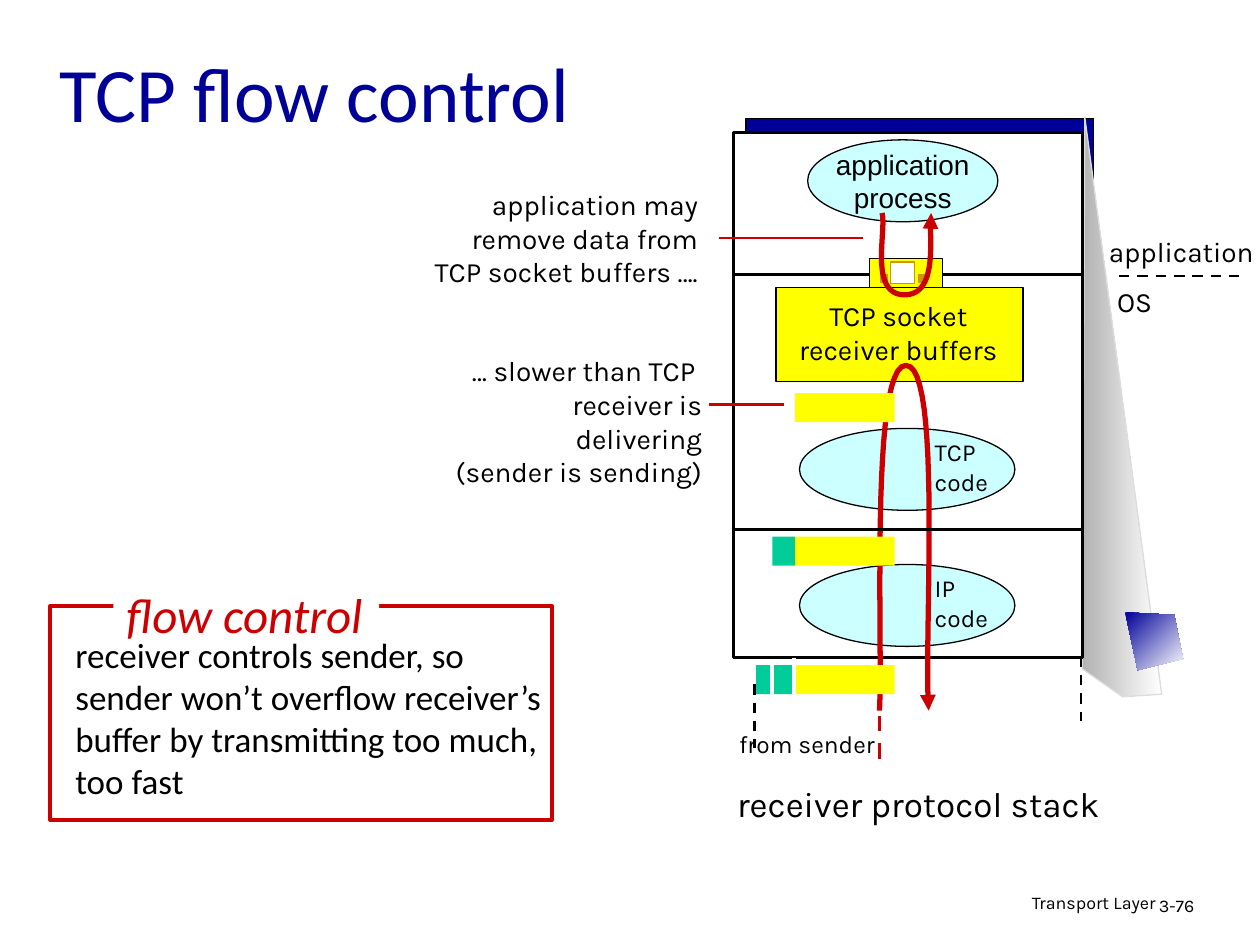
from dataclasses import dataclass

from lxml import etree
from pptx import Presentation
from pptx.dml.color import RGBColor
from pptx.enum.dml import MSO_LINE
from pptx.enum.shapes import MSO_CONNECTOR, MSO_SHAPE
from pptx.enum.text import MSO_ANCHOR, PP_ALIGN
from pptx.oxml.ns import qn
from pptx.util import Inches, Pt

RECTANGLE, OVAL = MSO_SHAPE.RECTANGLE, MSO_SHAPE.OVAL
STRAIGHT, DASH = MSO_CONNECTOR.STRAIGHT, MSO_LINE.DASH
LEFT, CENTER, RIGHT = PP_ALIGN.LEFT, PP_ALIGN.CENTER, PP_ALIGN.RIGHT
TOP, MIDDLE = MSO_ANCHOR.TOP, MSO_ANCHOR.MIDDLE

COLUMNS, ROWS = 100, 75
BLACK, WHITE, NAVY, RED = "000000", "FFFFFF", "000099", "CC0000"
YELLOW, GREEN, CYAN, GOLD = "FFFF00", "00CC99", "CCFFFF", "CC9900"

deck = Presentation()
deck.slide_width, deck.slide_height = Inches(10), Inches(7.5)
page = deck.slides.add_slide(deck.slide_layouts[5])
shapes = page.shapes


@dataclass
class Area:
    """Left, top, width and height in grid cells."""
    column: float
    row: float
    columns: float
    rows: float

    def emu(self) -> tuple[int, ...]:
        return across(self.column), down(self.row), across(self.columns), down(self.rows)


@dataclass
class Style:
    size: float = 16
    font: str = "Karla"
    color: str = BLACK
    align: PP_ALIGN = LEFT
    anchor: MSO_ANCHOR = TOP
    wrap: bool = False
    italic: bool = False
    spacing: float = 1.0


def across(columns: float) -> int:
    return round(deck.slide_width * columns / COLUMNS)


def down(rows: float) -> int:
    return round(deck.slide_height * rows / ROWS)


def paint(target, color: str) -> None:
    if hasattr(target, "solid"):
        target.solid()
        target = target.fore_color
    target.rgb = RGBColor.from_string(color)


def stroke(line, color: str | None, width: float, dashed: bool = False) -> None:
    if color is None:
        line.fill.background()
        return
    paint(line.fill, color)
    line.width = Pt(width)
    if dashed:
        line.dash_style = DASH


def write(shape, text: str, style: Style) -> None:
    frame = shape.text_frame
    frame.word_wrap, frame.vertical_anchor = style.wrap, style.anchor
    for index, words in enumerate(text.split("\n")):
        para = frame.paragraphs[0] if index == 0 else frame.add_paragraph()
        para.alignment, para.line_spacing = style.align, style.spacing
        span = para.add_run()
        span.text = words
        formats = {"size": Pt(style.size), "name": style.font, "italic": style.italic}
        for name, value in formats.items():
            setattr(span.font, name, value)
        paint(span.font.color, style.color)


def label(area: Area, text: str, style: Style) -> None:
    write(shapes.add_textbox(*area.emu()), text, style)


def block(area: Area, fill: str, line: str | None = None, width: float = 0.75,
          kind: MSO_SHAPE = RECTANGLE):
    shape = shapes.add_shape(kind, *area.emu())
    shape.shadow.inherit = False
    paint(shape.fill, fill)
    stroke(shape.line, line, width)
    return shape


def rule(column: float, row: float, to_column: float, to_row: float,
         color: str = BLACK, width: float = 1.5, dashed: bool = False) -> None:
    line = shapes.add_connector(STRAIGHT, across(column), down(row),
                                across(to_column), down(to_row))
    stroke(line.line, color, width, dashed)
    etree.SubElement(line._element.spPr, qn("a:effectLst"))


def outline(points: list, closed: bool):
    corners = [(across(column), down(row)) for column, row in points]
    builder = shapes.build_freeform(*corners[0], scale=1.0)
    builder.add_line_segments(corners[1:], close=closed)
    shape = builder.convert_to_shape()
    shape.shadow.inherit = False
    return shape


def gradient_panel(points: list, colors: tuple[str, str], angle: float,
                   line: str | None = None) -> None:
    shape = outline(points, True)
    shape.fill.gradient()
    shape.fill.gradient_angle = angle
    for stop, color, position in zip(shape.fill.gradient_stops, colors, (0, 1)):
        stop.position = position
        paint(stop.color, color)
    stroke(shape.line, line, 0.75)


def bezier(knots: list, steps: int = 24) -> list:
    """Points along cubic curves whose knots are end, control, control, end..."""
    points = [knots[0]]
    for start in range(0, len(knots) - 1, 3):
        a, b, c, d = knots[start:start + 4]
        for step in range(1, steps + 1):
            t = step / steps
            u = 1 - t
            weights = (u ** 3, 3 * u * u * t, 3 * u * t * t, t ** 3)
            points.append(tuple(sum(w * p[axis] for w, p in zip(weights, (a, b, c, d)))
                                for axis in (0, 1)))
    return points


def flow_arrow(knots: list) -> None:
    shape = outline(bezier(knots), False)
    shape.fill.background()
    stroke(shape.line, RED, 3)
    etree.SubElement(shape.line._get_or_add_ln(), qn("a:tailEnd"), type="triangle")


# Footer and title
label(Area(61, 70.5, 31.7, 3.1), "Transport Layer", Style(10.2, align=RIGHT, spacing=0.9))
label(Area(91, 70.7, 7.4, 3), "3-76", Style(10.2, spacing=0.9))
title = shapes.title
title.left, title.top, title.width, title.height = Area(3.7, 1.9, 85, 10.7).emu()
write(title, "TCP flow control", Style(44, "Calibri", NAVY, anchor=MIDDLE, wrap=True))

# Host panel with its side
block(Area(59.2, 9.4, 27.6, 42.2), NAVY, BLACK)
gradient_panel([(92.2, 55.1), (86.1, 9.3), (85.9, 53.1), (89.1, 55.3)],
               ("B2B2B2", WHITE), 0, "DDDDDD")
block(Area(58.2, 10.5, 27.7, 41.7), WHITE, BLACK, 1.5)

# Protocol stack
process = block(Area(64.1, 11.1, 15.1, 6.5), CYAN, BLACK, kind=OVAL)
write(process, "application\nprocess", Style(font="Arial", align=CENTER, anchor=MIDDLE))
block(Area(61.6, 22.8, 19.6, 7.5), YELLOW, BLACK)
label(Area(62.1, 23.2, 18.4, 6.4), "TCP socket\nreceiver buffers", Style(align=CENTER))
for row, protocol in ((34, "TCP"), (44.8, "IP")):
    block(Area(63.45, row, 17.1, 6.5), CYAN, BLACK, kind=OVAL)
    label(Area(73.2, row + 0.2, 6.4, 5.7), f"{protocol}\ncode", Style(14))
flow_arrow([(69.8, 56.4), (70.1, 51.8), (69, 29), (71.9, 29),
            (74.8, 29), (73.3, 50.7), (73.7, 56.4)])
for row in (42, 21.8):
    rule(58.2, row, 86, row)

# Socket door
block(Area(69, 20.5, 5.8, 2.3), YELLOW, BLACK)
block(Area(70.7, 20.8, 1.9, 1.7), WHITE, GOLD)
for column in (72.9, 69.9):
    block(Area(column, 21.8, 0.5, 0.6), GOLD, GOLD)
flow_arrow([(70, 16.9), (70.4, 18.2), (68.9, 23.4), (71.8, 23.4),
            (74.7, 23.4), (73.6, 18), (73.9, 16.9)])

# Packets: green headers before yellow data
for row, header in ((31.2, 0), (42.6, 1.8), (52.8, 3.1)):
    if header:
        block(Area(63.1 - header, row, header, 2.3), GREEN)
    block(Area(63.1, row, 7.9, 2.3), YELLOW)
for column, top, bottom in ((61.3, 52.8, 55.1), (63, 52.2, 55.1)):
    rule(column, top, column, bottom, WHITE, 2.25)

# Labels around the stack
label(Area(87, 18.1, 13.5, 3.7), "application", Style(align=CENTER))
label(Area(87.6, 22.1, 4.9, 3.7), "OS", Style(align=CENTER))
rule(88.8, 21.9, 98.3, 21.9, dashed=True)
label(Area(57.1, 61.6, 31.6, 4.4), "receiver protocol stack", Style(20, align=CENTER))
note = Style(align=RIGHT, wrap=True)
label(Area(22, 14.4, 34.9, 9), "application may \nremove data from \nTCP socket buffers …. ", note)
rule(57.1, 18.9, 68.5, 18.9, RED)
label(Area(33.9, 27.6, 22.8, 11.7),
      "… slower than TCP \nreceiver is delivering\n(sender is sending)", note)
rule(56.3, 32.1, 62.2, 32.1, RED)
rule(69.8, 56.8, 69.8, 60.6, RED, 2.25, True)
label(Area(57.4, 57.4, 13.3, 3.4), "from sender", Style(14, align=CENTER))

# Flow control definition
block(Area(4, 48.1, 39.8, 17), WHITE, RED, 2.25)
label(Area(5, 49.8, 39.3, 17.7),
      "receiver controls sender, so sender won’t overflow receiver’s buffer "
      "by transmitting too much, too fast", Style(20, "Calibri", wrap=True))
block(Area(9, 46.9, 21.1, 3.9), WHITE)
label(Area(8.2, 45.9, 22.4, 5.7), "flow control",
      Style(28, "Calibri", RED, CENTER, italic=True))

# Stack base
for column, row in ((59.9, 54.3), (85.8, 52.1)):
    rule(column, row, column, row + 5.1, dashed=True)
gradient_panel([(89.3, 48.6), (93.2, 48.8), (93.9, 52.3), (90.3, 53.2)], (NAVY, WHITE), 315)

deck.save("out.pptx")
